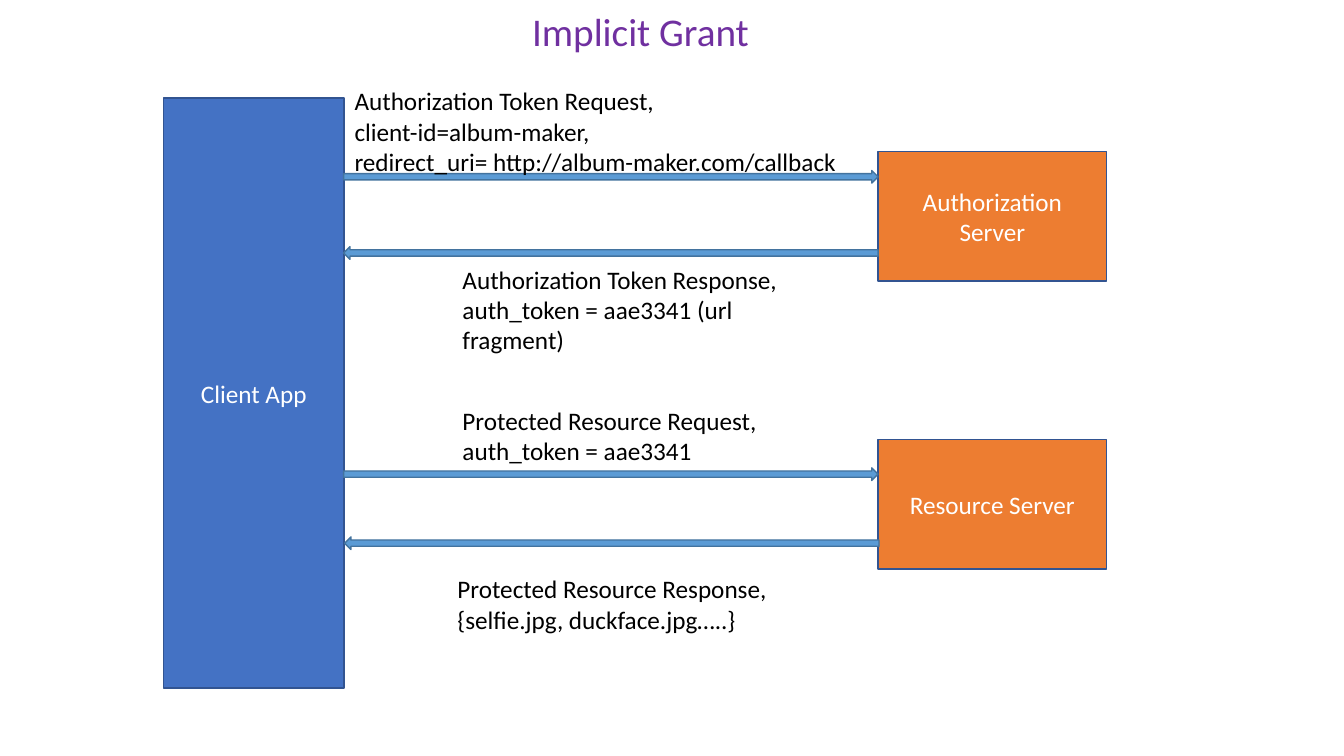
"""Builds the Implicit Grant flow slide."""
from pptx import Presentation
from pptx.dml.color import RGBColor
from pptx.enum.shapes import MSO_SHAPE as Kind
from pptx.enum.text import MSO_ANCHOR as Anchor, MSO_AUTO_SIZE as Auto, PP_ALIGN as Align
from pptx.util import Pt

HUES = {"client": "4472C4", "server": "ED7D31", "edge": "325491",
        "arrow": "5B9BD5", "rim": "43739E", "title": "7030A0",
        "black": "000000", "white": "FFFFFF"}

deck = Presentation()
deck.slide_width, deck.slide_height = Pt(960), Pt(540)
slide = deck.slides.add_slide(deck.slide_layouts[6])
shapes = slide.shapes


def draw(kind, area, fill, edge):
    shape = shapes.add_shape(kind, *map(Pt, area))
    shape.shadow.inherit = False
    shape.fill.solid()
    shape.fill.fore_color.rgb = RGBColor.from_string(HUES[fill])
    shape.line.color.rgb = RGBColor.from_string(HUES[edge])
    shape.line.width = Pt(1)
    return shape


def write(shape, text, size=18, hue="black", align=Align.LEFT,
          anchor=Anchor.TOP, fit=Auto.SHAPE_TO_FIT_TEXT):
    frame = shape.text_frame
    frame.word_wrap = True
    frame.auto_size = fit
    frame.vertical_anchor = anchor
    frame.text = text
    for para in frame.paragraphs:
        para.alignment = align
        para.font.name = "Calibri"
        para.font.size = Pt(size)
        para.font.color.rgb = RGBColor.from_string(HUES[hue])


boxes = [
    ("Client App", "client", (116.8, 70, 129, 421.4)),
    ("Authorization Server", "server", (627.2, 108, 163.3, 92.6)),
    ("Resource Server", "server", (627.2, 313.8, 163.3, 92.6)),
]
for text, fill, area in boxes:
    write(draw(Kind.RECTANGLE, area, fill, "edge"), text, hue="white",
          align=Align.CENTER, anchor=Anchor.MIDDLE, fit=Auto.NONE)

arrows = [
    (Kind.LEFT_ARROW, 245.5, 176.2),
    (Kind.RIGHT_ARROW, 245.5, 121.8),
    (Kind.LEFT_ARROW, 246.2, 383.5),
    (Kind.RIGHT_ARROW, 245.5, 334.2),
]
for kind, left, top in arrows:
    draw(kind, (left, top, 381.7, 9), "arrow", "rim")

notes = [
    ("Authorization Token Request,\nclient-id=album-maker,\n"
     "redirect_uri= http://album-maker.com/callback", (246.2, 57.6, 381.6, 72.7)),
    ("Authorization Token Response,\nauth_token = aae3341 (url fragment)",
     (323.3, 185, 254.2, 72.7)),
    ("Protected Resource Request,\nauth_token = aae3341",
     (323.3, 286, 254.2, 50.9)),
    ("Protected Resource Response,\n{selfie.jpg, duckface.jpg…..}",
     (319.7, 406.2, 254.2, 50.9)),
]
for text, area in notes:
    write(shapes.add_textbox(*map(Pt, area)), text)

title = shapes.add_textbox(Pt(373), Pt(1.4), Pt(304), Pt(41.2))
write(title, "Implicit Grant", size=28, hue="title")

deck.save("out.pptx")
